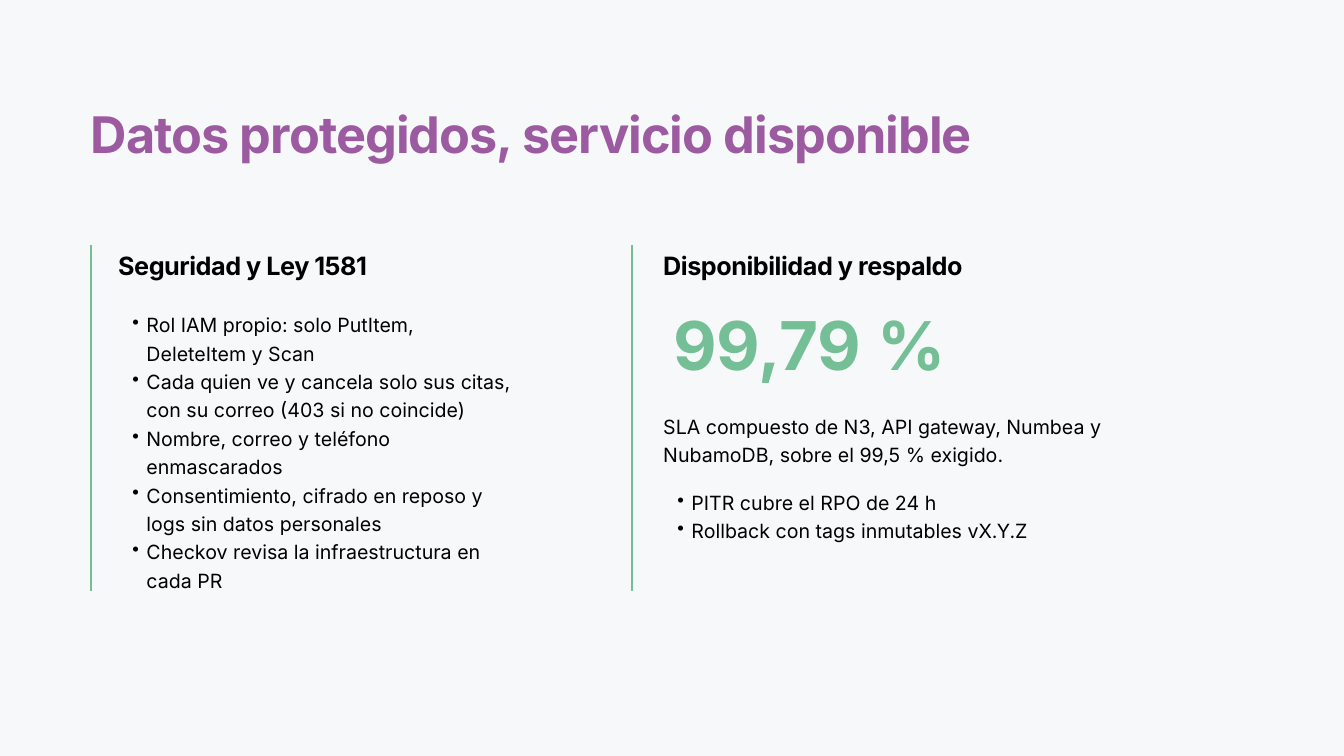
"""Build the slide on data protection and service availability."""
import pptx
import pptx.dml.color
import pptx.enum.shapes
import pptx.enum.text
import pptx.oxml
import pptx.util

PURPLE, GREEN, BLACK, PAPER = "9C5AA0", "74BF95", "000000", "F7F8FA"
FONT = "Inter"
LEFT, RIGHT = 126.72, 710.64
COLUMN_WIDTH = 571.68
RULE_TOP, RULE_BOTTOM = 262.8, 633.6
RULES = [97.92, 676.8]

TITLE = "Datos protegidos, servicio disponible"
HEADINGS = [(LEFT, "Seguridad y Ley 1581"), (RIGHT, "Disponibilidad y respaldo")]
SECURITY = [
    "Rol IAM propio: solo PutItem, DeleteItem y Scan",
    "Cada quien ve y cancela solo sus citas, con su correo (403 si no coincide)",
    "Nombre, correo y teléfono enmascarados",
    "Consentimiento, cifrado en reposo y logs sin datos personales",
    "Checkov revisa la infraestructura en cada PR",
]
FIGURE = "99,79 %"
SLA = "SLA compuesto de N3, API gateway, Numbea y NubamoDB, sobre el 99,5 % exigido."
BACKUP = ["PITR cubre el RPO de 24 h", "Rollback con tags inmutables vX.Y.Z"]


def points(value):
    return pptx.util.Pt(value)


def color(value):
    return pptx.dml.color.RGBColor.from_string(value)


def add_bullet(para):
    para.level = 1
    properties = para._p.get_or_add_pPr()
    properties.set("marL", str(points(30.24)))
    properties.set("indent", str(-points(15.12)))
    bullet = pptx.oxml.parse_xml(
        '<a:buChar xmlns:a="http://schemas.openxmlformats.org/drawingml/2006/main" char="•"/>'
    )
    properties.append(bullet)


def add_text(page, lines, left, top, width, height, size=21, leading=30.4,
             ink=BLACK, bold=False, spacing=0, bullets=False):
    box = page.shapes.add_textbox(*map(points, (left, top, width, height)))
    frame = box.text_frame
    frame.margin_left = frame.margin_top = frame.margin_right = frame.margin_bottom = 0
    frame.word_wrap = True
    frame.auto_size = pptx.enum.text.MSO_AUTO_SIZE.SHAPE_TO_FIT_TEXT
    for index, line in enumerate(lines):
        para = frame.add_paragraph() if index else frame.paragraphs[0]
        if bullets:
            add_bullet(para)
        para.line_spacing = points(leading)
        span = para.add_run()
        span.text = line
        span.font.name = FONT
        span.font.size = points(size)
        span.font.bold = bold
        span.font.color.rgb = color(ink)
        if spacing:
            span._r.get_or_add_rPr().set("spc", str(round(spacing * 100)))


def add_rule(page, left):
    rule = page.shapes.add_connector(
        pptx.enum.shapes.MSO_CONNECTOR.STRAIGHT,
        *map(points, (left, RULE_TOP, left, RULE_BOTTOM)),
    )
    rule.line.color.rgb = color(GREEN)
    rule.line.width = points(2.25)
    rule._element.spPr.append(pptx.oxml.parse_xml(
        '<a:effectLst xmlns:a="http://schemas.openxmlformats.org/drawingml/2006/main"/>'
    ))


def main():
    deck = pptx.Presentation()
    deck.slide_width, deck.slide_height = points(1440), points(810)
    page = deck.slides.add_slide(deck.slide_layouts[6])
    page.background.fill.solid()
    page.background.fill.fore_color.rgb = color(PAPER)

    add_text(page, [TITLE], 97.2, 115.92, 1285.2, 57.6,
             size=54, leading=59.4, ink=PURPLE, bold=True, spacing=-1)
    for left in RULES:
        add_rule(page, left)
    for left, heading in HEADINGS:
        add_text(page, [heading], left, 267.84, COLUMN_WIDTH, 35.28,
                 size=27, leading=32.4, bold=True, spacing=-0.5)
    add_text(page, SECURITY, LEFT, 330.48, 422.64, 298.8, bullets=True)
    add_text(page, [FIGURE], 721.44, 328.32, COLUMN_WIDTH, 82.8,
             size=72, leading=82.8, ink=GREEN, bold=True)
    add_text(page, [SLA], RIGHT, 439.2, COLUMN_WIDTH, 67.68)
    add_text(page, BACKUP, RIGHT, 520.56, 564.48, 78.48, bullets=True)
    deck.save("out.pptx")


if __name__ == "__main__":
    main()
